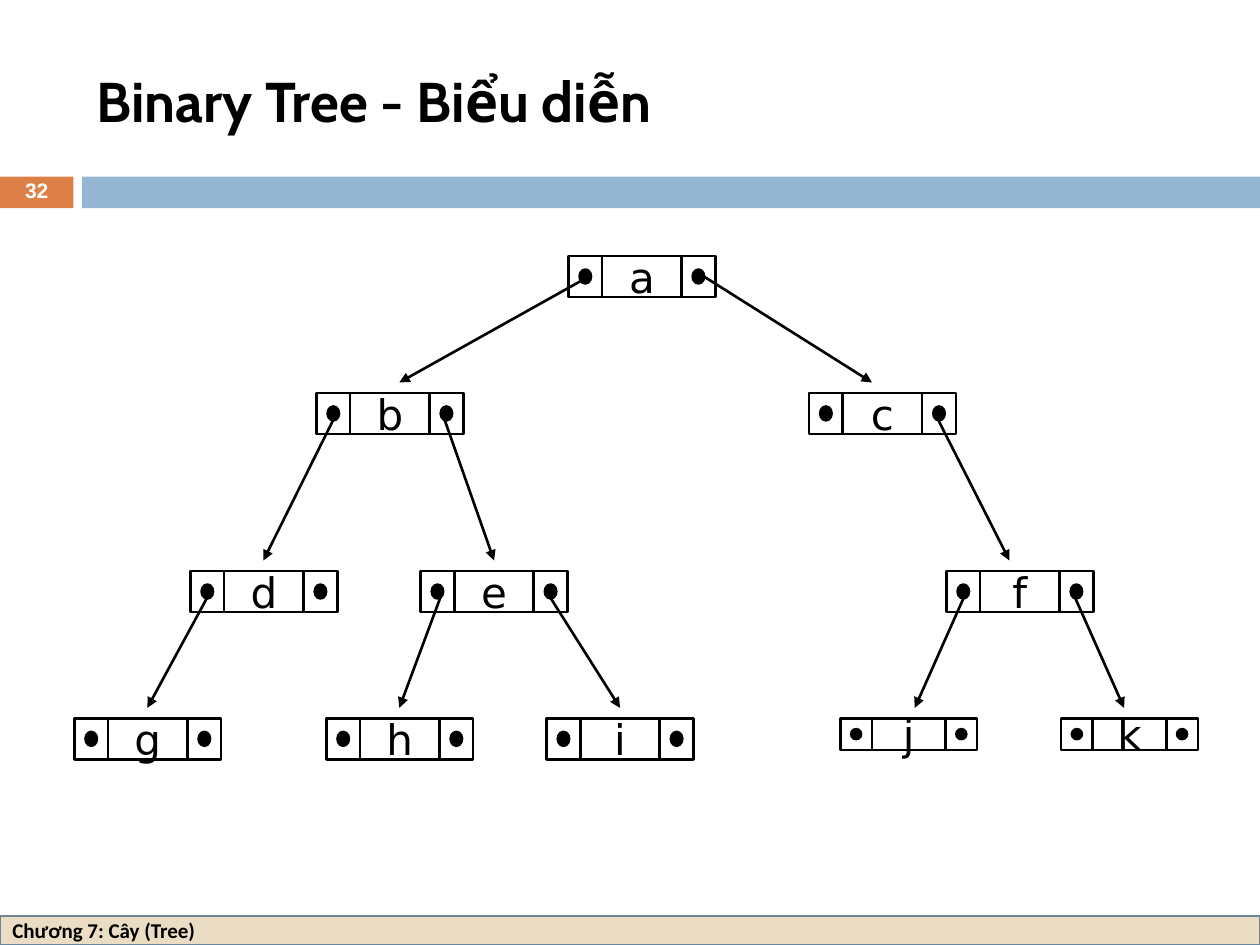
import pptx
import pptx.util
import pptx.dml.color
import pptx.enum.shapes
import pptx.enum.text
import pptx.oxml
import pptx.oxml.ns

Cm = pptx.util.Cm
Pt = pptx.util.Pt
RGB = pptx.dml.color.RGBColor
KIND = pptx.enum.shapes.MSO_SHAPE
ALIGN = pptx.enum.text.PP_ALIGN

BLACK = RGB(0x00, 0x00, 0x00)
WHITE = RGB(0xFF, 0xFF, 0xFF)
ORANGE = RGB(0xDD, 0x80, 0x47)
BLUE = RGB(0x94, 0xB6, 0xD2)
SAND = RGB(0xEB, 0xDD, 0xC3)
SLATE = RGB(0x6B, 0x85, 0x9A)

# Content
TITLE = "Binary Tree - Biểu diễn"
FOOTER = "Chương 7: Cây (Tree)"
NUMBER = "32"

# Top of each tree level, in cm
LEVELS = [5.16, 7.92, 11.51, 14.48]

# Node sizes: link cell width, value cell width, height, dot width, dot height
LARGE = (0.68, 1.6, 0.83, 0.23, 0.28)
SMALL = (0.64, 1.48, 0.64, 0.2, 0.2)

# Nodes: value, left, level, size
NODES = [
    ("a", 11.46, 0, LARGE),
    ("b", 6.38, 1, LARGE),
    ("c", 16.31, 1, LARGE),
    ("d", 3.84, 2, LARGE),
    ("e", 8.48, 2, LARGE),
    ("g", 1.5, 3, LARGE),
    ("h", 6.58, 3, LARGE),
    ("i", 11.02, 3, LARGE),
    ("f", 19.08, 2, LARGE),
    ("j", 16.94, 3, SMALL),
    ("k", 21.39, 3, SMALL),
]

# Arrows: level of the parent, x at the parent, x at the child
ARROWS = [
    (0, 11.86, 8.05), (0, 14.2, 17.58),
    (1, 6.78, 5.31), (1, 8.92, 9.96),
    (2, 4.24, 2.97), (2, 8.92, 8.05), (2, 11.02, 12.5),
    (1, 18.85, 20.35),
    (2, 19.48, 18.44), (2, 21.62, 22.66),
]
DROP = 0.42  # from the parent's top to the arrow's start
GAP = 0.21   # from the arrow's tip to the child's top


def add_box(shapes, kind, x, y, w, h, fill=None, line=None):
    box = shapes.add_shape(kind, Cm(x), Cm(y), Cm(w), Cm(h))
    box.shadow.inherit = False
    if fill is None:
        box.fill.background()
    else:
        box.fill.solid()
        box.fill.fore_color.rgb = fill
    if line is None:
        box.line.fill.background()
    else:
        box.line.color.rgb = line
        box.line.width = Pt(1.5)
    return box


def set_text(box, text, font, size, color=BLACK, bold=False,
             align=ALIGN.LEFT, wrap=True):
    frame = box.text_frame
    frame.word_wrap = wrap
    frame.vertical_anchor = pptx.enum.text.MSO_ANCHOR.MIDDLE
    para = frame.paragraphs[0]
    para.alignment = align
    run = para.add_run()
    run.text = text
    run.font.name = font
    run.font.size = Pt(size)
    run.font.bold = bold
    run.font.color.rgb = color
    return para


def add_node(shapes, value, x, y, size):
    cell, mid, high, dot_w, dot_h = size
    group = shapes.add_group_shape().shapes
    for left in (x, x + cell + mid):
        add_box(group, KIND.RECTANGLE, left, y, cell, high, line=BLACK)
        add_box(group, KIND.OVAL, left + (cell - dot_w) / 2,
                y + (high - dot_h) / 2, dot_w, dot_h, BLACK, BLACK)
    box = add_box(group, KIND.FLOWCHART_PROCESS, x + cell, y, mid, high,
                  line=BLACK)
    set_text(box, value, "DejaVu Sans", 24, align=ALIGN.CENTER, wrap=False)


def add_arrow(shapes, x1, y1, x2, y2):
    arrow = shapes.add_connector(pptx.enum.shapes.MSO_CONNECTOR.STRAIGHT,
                                 Cm(x1), Cm(y1), Cm(x2), Cm(y2))
    arrow.line.color.rgb = BLACK
    arrow.line.width = Pt(1.5)
    make = pptx.oxml.ns.qn
    tail = arrow.line._get_or_add_ln().makeelement(
        make("a:tailEnd"), {"type": "triangle"})
    arrow.line._get_or_add_ln().append(tail)
    props = arrow._element.spPr
    props.append(props.makeelement(make("a:effectLst"), {}))


def main():
    deck = pptx.Presentation()
    deck.slide_width, deck.slide_height = Cm(25.4), Cm(19.05)
    shapes = deck.slides.add_slide(deck.slide_layouts[6]).shapes

    # Bars and footer
    add_box(shapes, KIND.RECTANGLE, 0, 3.56, 1.48, 0.64, ORANGE)
    add_box(shapes, KIND.RECTANGLE, 1.65, 3.56, 23.75, 0.64, BLUE)
    foot = add_box(shapes, KIND.RECTANGLE, 0, 18.47, 25.4, 0.58, SAND, SLATE)
    set_text(foot, FOOTER, "Calibri", 12, bold=True)

    # Title and slide number
    title = shapes.add_textbox(Cm(1.7), Cm(0.64), Cm(22.65), Cm(2.74))
    set_text(title, TITLE, "Cabin", 32, bold=True)
    number = shapes.add_textbox(Cm(0), Cm(3.53), Cm(1.48), Cm(0.69))
    para = set_text(number, NUMBER, "Arial", 12, WHITE, True, ALIGN.CENTER)
    para.line_spacing = 0.8

    # Tree
    for value, x, level, size in NODES:
        add_node(shapes, value, x, LEVELS[level], size)
    for level, start, end in ARROWS:
        add_arrow(shapes, start, LEVELS[level] + DROP,
                  end, LEVELS[level + 1] - GAP)

    deck.save("out.pptx")


if __name__ == "__main__":
    main()
